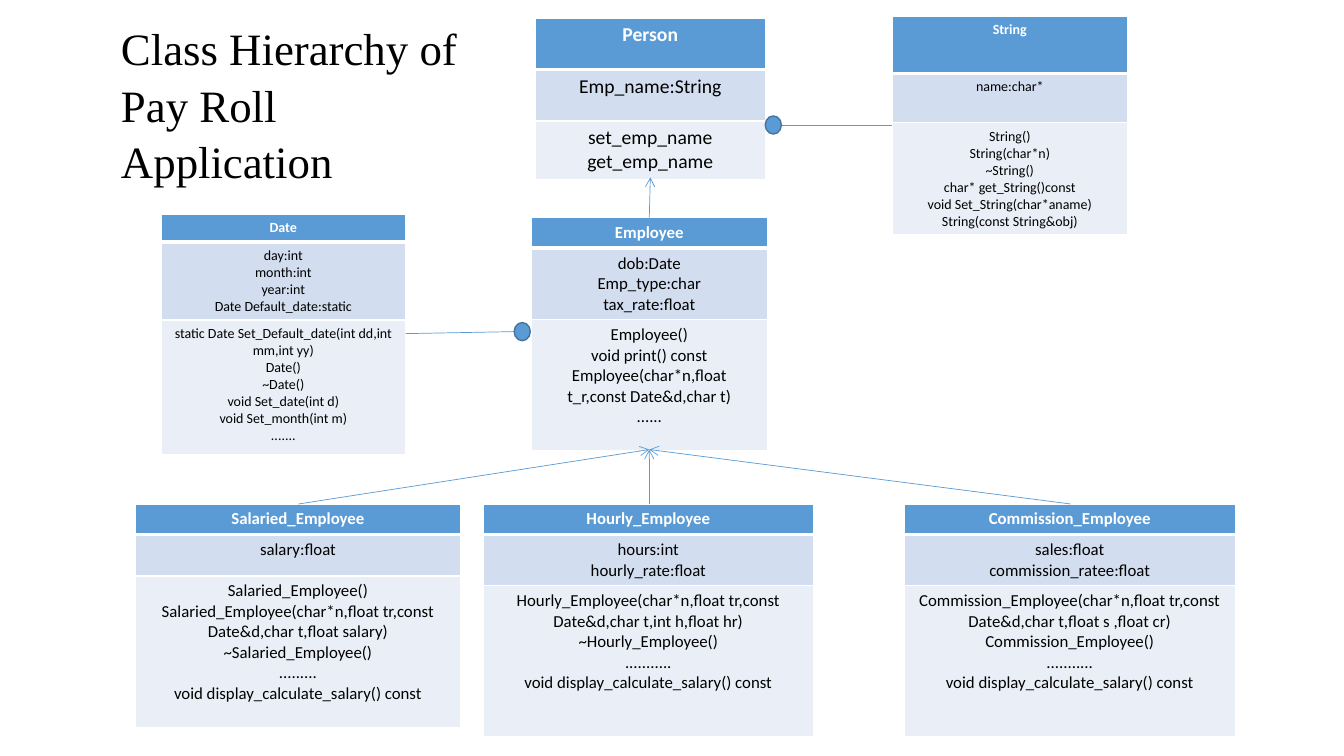
from lxml.etree import SubElement
from pptx import Presentation
from pptx.dml.color import RGBColor
from pptx.enum.shapes import MSO_CONNECTOR as Connector, MSO_SHAPE as Preset
from pptx.enum.text import MSO_ANCHOR as Anchor, MSO_AUTO_SIZE as AutoSize, PP_ALIGN as Align
from pptx.oxml.ns import qn
from pptx.util import Inches, Pt

WHITE, BLACK, BLUE, OUTLINE = "FFFFFF", "000000", "5B9BD5", "43739E"
ROW_FILLS = (BLUE, "D2DEEF", "EAEFF7")


def colour(value):
    return RGBColor.from_string(value)


class ClassDiagram:
    """Draws class boxes and their relations on one slide."""

    def __init__(self, deck):
        self.page = deck.slides.add_slide(deck.slide_layouts[5])
        self.font = "Calibri"

    def add_span(self, para, text, size, ink, font=None, bold=False):
        span = para.add_run()
        span.text = text
        span.font.name = font or self.font
        span.font.size = Pt(size)
        span.font.bold = bold
        span.font.color.rgb = colour(ink)

    def title(self, text, left, top, width, height):
        box = self.page.shapes.title
        box.left, box.top, box.width, box.height = map(Inches, (left, top, width, height))
        frame = box.text_frame
        frame.word_wrap = True
        frame.auto_size = AutoSize.NONE
        frame.vertical_anchor = Anchor.MIDDLE
        para = frame.paragraphs[0]
        para.alignment = Align.LEFT
        para.line_spacing = 1.05
        self.add_span(para, text, 32, BLACK, "Times New Roman")

    def borders(self, cell, row):
        properties = cell._tc.get_or_add_tcPr()
        widths = {"lnL": 1, "lnR": 1, "lnT": 3 if row == 1 else 1, "lnB": 3 if row == 0 else 1}
        for side, width in widths.items():
            line = SubElement(properties, qn("a:" + side), w=str(Pt(width)))
            fill = SubElement(line, qn("a:solidFill"))
            SubElement(fill, qn("a:srgbClr"), val=WHITE)

    def class_box(self, left, top, width, heights, size, name, fields, methods):
        place = map(Inches, (left, top, width, sum(heights)))
        table = self.page.shapes.add_table(3, 1, *place).table
        table.horz_banding = False
        for row, lines in enumerate(([name], fields, methods)):
            table.rows[row].height = Inches(heights[row])
            cell = table.cell(row, 0)
            self.borders(cell, row)
            cell.fill.solid()
            cell.fill.fore_color.rgb = colour(ROW_FILLS[row])
            frame = cell.text_frame
            for index, text in enumerate(lines):
                para = frame.add_paragraph() if index else frame.paragraphs[0]
                para.alignment = Align.CENTER
                self.add_span(para, text, size, BLACK if row else WHITE, bold=row == 0)

    def relation(self, start, end, arrow=False):
        points = map(Inches, (*start, *end))
        line = self.page.shapes.add_connector(Connector.STRAIGHT, *points)
        line.line.color.rgb = colour(BLUE)
        line.line.width = Pt(0.5)
        properties = line._element.spPr
        if arrow:
            SubElement(properties.find(qn("a:ln")), qn("a:tailEnd"), type="arrow")
        SubElement(properties, qn("a:effectLst"))

    def joint(self, left, top):
        place = map(Inches, (left, top, 0.16, 0.18))
        dot = self.page.shapes.add_shape(Preset.FLOWCHART_CONNECTOR, *place)
        dot.shadow.inherit = False
        dot.fill.solid()
        dot.fill.fore_color.rgb = colour(BLUE)
        dot.line.color.rgb = colour(OUTLINE)
        dot.line.width = Pt(1)


CLASSES = [
    (5.31, 0.18, 2.28, (0.51, 0.51, 0.58), 14, "Person",
     ["Emp_name:String"], ["set_emp_name", "get_emp_name"]),
    (8.85, 0.16, 2.33, (0.57, 0.49, 1.11), 10, "String", ["name:char*"],
     ["String()", "String(char*n)", "~String()", "char* get_String()const",
      "void Set_String(char*aname)", "String(const String&obj)"]),
    (1.6, 2.13, 2.42, (0.27, 0.77, 1.34), 10, "Date",
     ["day:int", "month:int", "year:int", "Date Default_date:static"],
     ["static Date Set_Default_date(int dd,int mm,int yy)", "Date()", "~Date()",
      "void Set_date(int d)", "void Set_month(int m)", "......."]),
    (5.27, 2.16, 2.34, (0.3, 0.7, 1.3), 12, "Employee",
     ["dob:Date", "Emp_type:char", "tax_rate:float"],
     ["Employee()", "void print() const",
      "Employee(char*n,float t_r,const Date&d,char t)", "......"]),
    (1.34, 5, 3.23, (0.3, 0.41, 1.5), 12, "Salaried_Employee", ["salary:float"],
     ["Salaried_Employee()",
      "Salaried_Employee(char*n,float tr,const Date&d,char t,float salary)",
      "~Salaried_Employee()", ".........", "void display_calculate_salary() const"]),
    (4.79, 5, 3.28, (0.3, 0.5, 1.5), 12, "Hourly_Employee",
     ["hours:int", "hourly_rate:float"],
     ["Hourly_Employee(char*n,float tr,const Date&d,char t,int h,float hr)",
      "~Hourly_Employee()", "...........", "void display_calculate_salary() const"]),
    (8.97, 5, 3.28, (0.3, 0.5, 1.5), 12, "Commission_Employee",
     ["sales:float", "commission_ratee:float"],
     ["Commission_Employee(char*n,float tr,const Date&d,char t,float s ,float cr)",
      "Commission_Employee()", "...........", "void display_calculate_salary() const"]),
]


def main():
    deck = Presentation()
    deck.slide_width, deck.slide_height = Inches(13.33), Inches(7.5)
    diagram = ClassDiagram(deck)
    diagram.title("Class Hierarchy of Pay Roll Application", 1.1, 0.16, 3.69, 1.72)
    for entry in CLASSES:
        diagram.class_box(*entry)
    diagram.relation((7.75, 1.24), (8.85, 1.24))
    diagram.joint(7.59, 1.15)
    diagram.relation((4.02, 3.31), (5.1, 3.29))
    diagram.joint(5.1, 3.2)
    diagram.relation((6.44, 2.16), (6.45, 1.76), arrow=True)
    for subclass_x in (2.96, 6.44, 10.62):
        diagram.relation((subclass_x, 5), (6.44, 4.46), arrow=True)
    deck.save("out.pptx")


if __name__ == "__main__":
    main()
